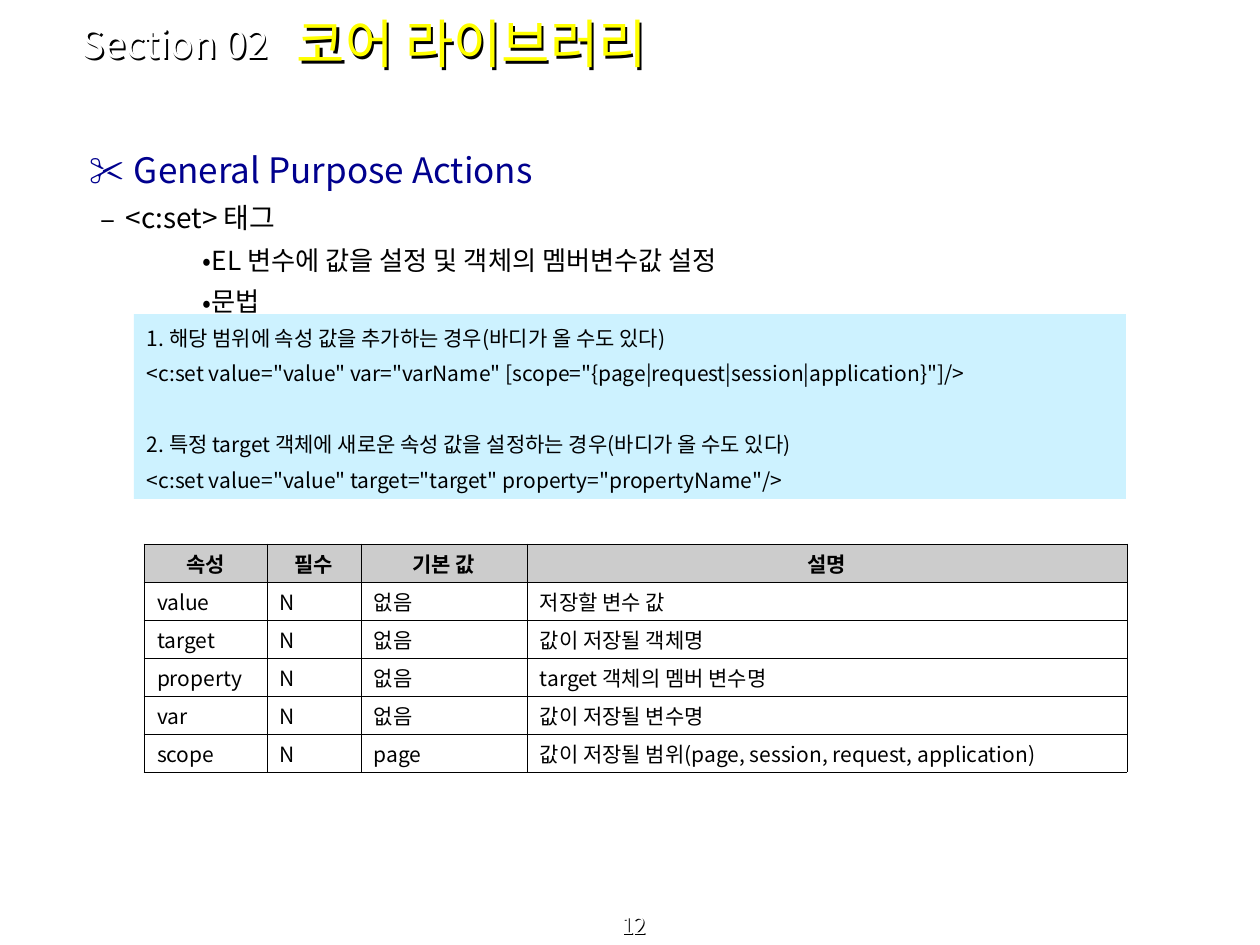
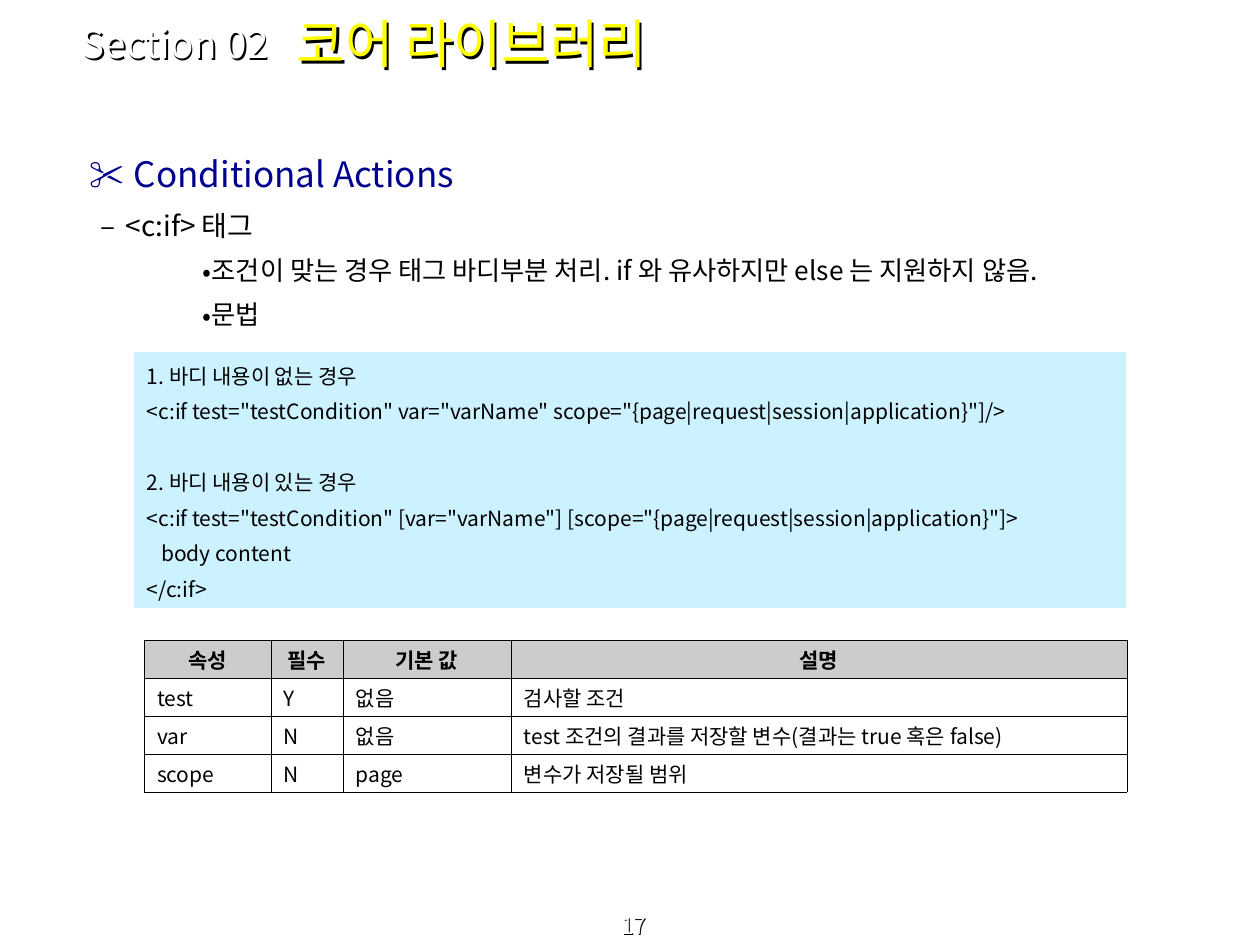
from lxml import etree
from pptx import Presentation
from pptx.dml.color import RGBColor
from pptx.enum.shapes import MSO_SHAPE
from pptx.enum.text import MSO_ANCHOR, PP_ALIGN
from pptx.oxml.ns import qn
from pptx.util import Pt

RECT = MSO_SHAPE.RECTANGLE
TOP, MIDDLE, BOTTOM = MSO_ANCHOR.TOP, MSO_ANCHOR.MIDDLE, MSO_ANCHOR.BOTTOM
LEFT, CENTER, JUSTIFY = PP_ALIGN.LEFT, PP_ALIGN.CENTER, PP_ALIGN.JUSTIFY

PX_PER_INCH = 126
FONT = "Noto Sans CJK KR"
BLACK, WHITE, YELLOW = "000000", "FFFFFF", "FFFF00"
NAVY, PALE_BLUE, GRAY = "00008E", "CDF2FF", "CCCCCC"
LINE_FACTOR = 1.2  # line height of the font, in ems

# Outline levels: bullet, size, colour, space before, margin and indent in px
LEVELS = [
    ("✂", 20, NAVY, 5, 57, -44),
    ("–", 16, BLACK, 4, 49, -25),
    ("•", 15, BLACK, 3.7, 74, 52),
]
TABLE_HEADINGS = ["속성", "필수", "기본 값", "설명"]
ROW_HEIGHT = 38


def px(length):
    return length * 914400 // PX_PER_INCH


def color(value):
    return RGBColor.from_string(value)


def add_xml(parent, tag, **attributes):
    return etree.SubElement(parent, qn(tag), {k: str(v) for k, v in attributes.items()})


class Deck:
    def __init__(self):
        self.prs = Presentation()
        self.prs.slide_width, self.prs.slide_height = px(1260), px(945)
        self.slide = None

    def new_slide(self):
        self.slide = self.prs.slides.add_slide(self.prs.slide_layouts[6])

    def add_text(self, paragraph, text, size, ink=BLACK, bold=False, align=LEFT,
                 spacing=1.0, before=0):
        paragraph.alignment = align
        paragraph.line_spacing = Pt(round(size * LINE_FACTOR * spacing, 1))
        paragraph.space_before = Pt(before)
        run = paragraph.add_run()
        run.text = text
        run.font.size, run.font.bold = Pt(size), bold
        run.font.name = FONT
        run.font.color.rgb = color(ink)
        add_xml(run._r.get_or_add_rPr(), "a:ea", typeface=FONT)

    def indent(self, paragraph, margin, first_line):
        properties = paragraph._p.get_or_add_pPr()
        properties.set("marL", str(px(margin)))
        properties.set("indent", str(px(first_line)))
        return properties

    def frame(self, shape, anchor):
        frame = shape.text_frame
        frame.word_wrap = True
        frame.vertical_anchor = anchor
        frame.margin_left = frame.margin_right = px(13)
        frame.margin_top = frame.margin_bottom = px(6)
        return frame

    def shadowed_label(self, box, text, size, ink, distance, anchor=MIDDLE, align=LEFT):
        label = self.slide.shapes.add_textbox(*map(px, box))
        frame = self.frame(label, anchor)
        self.add_text(frame.paragraphs[0], text, size, ink, align=align)
        effects = add_xml(label._element.spPr, "a:effectLst")
        shadow = add_xml(effects, "a:outerShdw", blurRad=0, dist=px(distance),
                         dir=2700000, algn="tl", rotWithShape=0)
        add_xml(shadow, "a:srgbClr", val=BLACK)

    def outline(self, box, items, spacing):
        frame = self.frame(self.slide.shapes.add_textbox(*map(px, box)), TOP)
        for i, (level, text) in enumerate(items):
            bullet, size, ink, before, margin, first_line = LEVELS[level]
            paragraph = frame.add_paragraph() if i else frame.paragraphs[0]
            self.add_text(paragraph, text, size, ink, spacing=spacing,
                          before=before if i else 0)
            properties = self.indent(paragraph, margin, first_line)
            add_xml(add_xml(properties, "a:buClr"), "a:srgbClr", val=ink)
            add_xml(properties, "a:buFont", typeface=FONT)
            add_xml(properties, "a:buChar", char=bullet)

    def syntax_panel(self, box, forms):
        panel = self.slide.shapes.add_shape(RECT, *map(px, box))
        panel.shadow.inherit = False
        panel.fill.solid()
        panel.fill.fore_color.rgb = color(PALE_BLUE)
        panel.line.fill.background()
        frame = self.frame(panel, TOP)
        for f, form in enumerate(forms):
            for i, line in enumerate(form):
                first = f == 0 and i == 0
                paragraph = frame.paragraphs[0] if first else frame.add_paragraph()
                # A new form starts one line lower
                before = 0 if first else 3 if i else 23.3
                self.add_text(paragraph, line, 12, spacing=1.2, before=before)
                self.indent(paragraph, 13, -13)

    def attribute_table(self, left, top, widths, rows):
        rows = [TABLE_HEADINGS] + rows
        table = self.slide.shapes.add_table(
            len(rows), len(widths), px(left), px(top),
            px(sum(widths)), px(ROW_HEIGHT * len(rows))).table
        table.horz_banding = table.first_row = False
        for column, width in zip(table.columns, widths):
            column.width = px(width)
        for r, values in enumerate(rows):
            table.rows[r].height = px(ROW_HEIGHT)
            for c, value in enumerate(values):
                self.table_cell(table.cell(r, c), value, heading=r == 0)

    def table_cell(self, cell, value, heading):
        cell.vertical_anchor = MIDDLE
        cell.margin_left = cell.margin_right = px(13)
        cell.margin_top, cell.margin_bottom = px(9), px(3)
        for side in ("a:lnL", "a:lnR", "a:lnT", "a:lnB"):
            border = add_xml(cell._tc.get_or_add_tcPr(), side, w=Pt(0.45))
            add_xml(add_xml(border, "a:solidFill"), "a:srgbClr", val=BLACK)
        if heading:
            cell.fill.solid()
            cell.fill.fore_color.rgb = color(GRAY)
        else:
            cell.fill.background()
        self.add_text(cell.text_frame.paragraphs[0], value, 12, bold=heading,
                      align=CENTER if heading else JUSTIFY)

    def section_frame(self, page_number):
        self.shadowed_label((4, 917, 1260, 28), page_number, 13, WHITE, 1, BOTTOM, CENTER)
        self.shadowed_label((284, 0, 818, 86), "코어 라이브러리", 30, YELLOW, 3)
        self.shadowed_label((69, 20, 243, 47), "Section 02", 22, WHITE, 2)


def main():
    deck = Deck()

    # General purpose actions: c:set
    deck.new_slide()
    deck.section_frame("12")
    deck.outline((64, 138, 1134, 624), [
        (0, "General Purpose Actions"),
        (1, "<c:set> 태그"),
        (2, "EL 변수에 값을 설정 및 객체의 멤버변수값 설정"),
        (2, "문법"),
    ], spacing=1.1)
    deck.syntax_panel((134, 314, 992, 185), [
        ["1. 해당 범위에 속성 값을 추가하는 경우(바디가 올 수도 있다)",
         '<c:set value="value" var="varName" [scope="{page|request|session|application}"]/>'],
        ["2. 특정 target 객체에 새로운 속성 값을 설정하는 경우(바디가 올 수도 있다)",
         '<c:set value="value" target="target" property="propertyName"/>'],
    ])
    deck.attribute_table(144, 544, [123, 94, 166, 600], [
        ["value", "N", "없음", "저장할 변수 값"],
        ["target", "N", "없음", "값이 저장될 객체명"],
        ["property", "N", "없음", "target 객체의 멤버 변수명"],
        ["var", "N", "없음", "값이 저장될 변수명"],
        ["scope", "N", "page", "값이 저장될 범위(page, session, request, application)"],
    ])

    # Conditional actions: c:if
    deck.new_slide()
    deck.section_frame("17")
    deck.outline((64, 138, 1134, 624), [
        (0, "Conditional Actions"),
        (1, "<c:if> 태그"),
        (2, "조건이 맞는 경우 태그 바디부분 처리. if 와 유사하지만 else 는 지원하지 않음."),
        (2, "문법"),
    ], spacing=1.2)
    deck.syntax_panel((134, 352, 992, 256), [
        ["1. 바디 내용이 없는 경우",
         '<c:if test="testCondition" var="varName" scope="{page|request|session|application}"]/>'],
        ["2. 바디 내용이 있는 경우",
         '<c:if test="testCondition" [var="varName"] [scope="{page|request|session|application}"]>',
         "   body content",
         "</c:if>"],
    ])
    deck.attribute_table(144, 640, [127, 72, 168, 616], [
        ["test", "Y", "없음", "검사할 조건"],
        ["var", "N", "없음", "test 조건의 결과를 저장할 변수(결과는 true 혹은 false)"],
        ["scope", "N", "page", "변수가 저장될 범위"],
    ])

    deck.prs.save("out.pptx")


if __name__ == "__main__":
    main()
